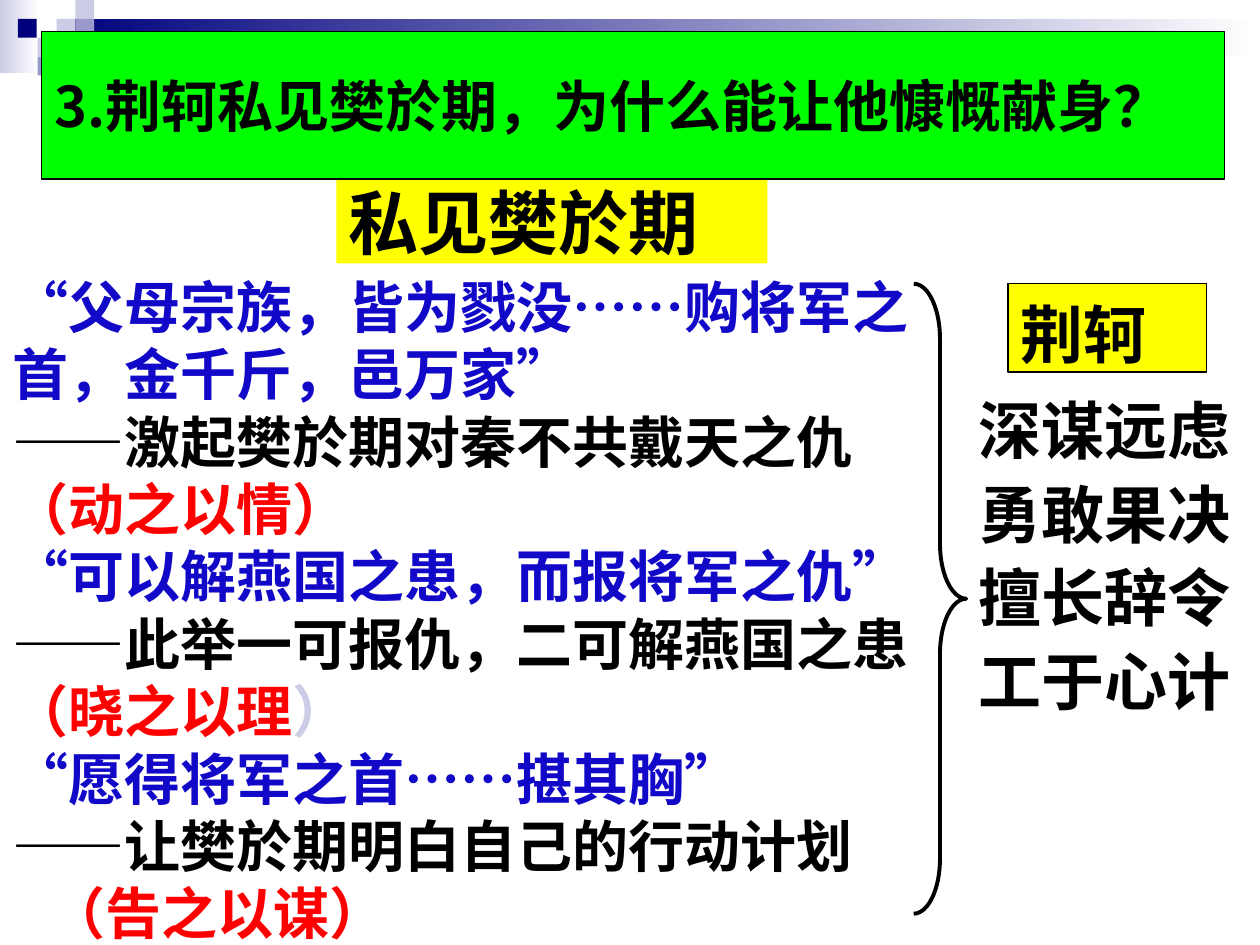
from dataclasses import dataclass

from lxml import etree
from pptx import Presentation
from pptx.dml.color import RGBColor
from pptx.enum.shapes import MSO_SHAPE
from pptx.enum.text import MSO_ANCHOR, PP_ALIGN
from pptx.oxml.ns import qn
from pptx.util import Cm, Pt

RECTANGLE = MSO_SHAPE.RECTANGLE
RIGHT_BRACE = MSO_SHAPE.RIGHT_BRACE
TOP = MSO_ANCHOR.TOP
MIDDLE = MSO_ANCHOR.MIDDLE
LEFT = PP_ALIGN.LEFT


@dataclass(frozen=True)
class Theme:
    black: str = "000000"
    white: str = "FFFFFF"
    navy: str = "00007D"
    lavender: str = "CCCCE6"
    periwinkle: str = "9999CC"
    yellow: str = "FFFF00"
    green: str = "00FF00"
    blue: str = "1108C8"
    red: str = "FF0000"
    chinese_font: str = "Noto Sans CJK SC"
    latin_font: str = "Arial"
    heading_size: int = 40
    trait_size: int = 36
    body_size: int = 32


THEME = Theme()


def add_text(paragraph, text, size, color=THEME.black, font=THEME.chinese_font):
    run = paragraph.add_run()
    run.text = text
    run.font.size = Pt(size)
    run.font.bold = True
    run.font.name = font
    run.font.color.rgb = RGBColor.from_string(color)
    east_asian = etree.SubElement(run.font._element, qn("a:ea"))
    east_asian.set("typeface", THEME.chinese_font)


class SlideBuilder:
    def __init__(self, slide, theme):
        self.slide = slide
        self.theme = theme

    def shape(self, kind, box, fill=None, line=None, line_width=0.75):
        shape = self.slide.shapes.add_shape(kind, *map(Cm, box))
        shape.shadow.inherit = False
        if fill:
            shape.fill.solid()
            shape.fill.fore_color.rgb = RGBColor.from_string(fill)
        else:
            shape.fill.background()
        if line:
            shape.line.color.rgb = RGBColor.from_string(line)
            shape.line.width = Pt(line_width)
        else:
            shape.line.fill.background()
        return shape

    def gradient(self, box, start):
        shape = self.shape(RECTANGLE, box)
        shape.fill.gradient()
        shape.fill.gradient_angle = 0
        for stop, color in zip(shape.fill.gradient_stops, (start, self.theme.white)):
            stop.color.rgb = RGBColor.from_string(color)

    def brace(self, box):
        brace = self.shape(RIGHT_BRACE, box, line=self.theme.black, line_width=2.25)
        brace.adjustments[0] = 1.05
        brace.adjustments[1] = 0.5

    def text_box(self, box):
        return self.slide.shapes.add_textbox(*map(Cm, box))

    def fill_text(self, shape, paragraphs, size, font=THEME.chinese_font, anchor=TOP,
                  top=0.13, line_height=None, gap=0, indents=()):
        frame = shape.text_frame
        frame.word_wrap = True
        frame.vertical_anchor = anchor
        frame.margin_left = frame.margin_right = Cm(0.25)
        frame.margin_top = Cm(top)
        frame.margin_bottom = Cm(0.13)
        for index, runs in enumerate(paragraphs):
            paragraph = frame.add_paragraph() if index else frame.paragraphs[0]
            paragraph.alignment = LEFT
            if index and gap:
                paragraph.space_before = Pt(gap)
            if line_height:
                paragraph.line_spacing = Pt(line_height)
            if index in indents:
                paragraph._p.get_or_add_pPr().set("marL", str(Cm(0.75)))
            for text, color in runs:
                add_text(paragraph, text, size, color=color, font=font)


def add_corner_ornament(builder):
    theme = builder.theme
    builder.gradient((0, 0, 0.79, 1.47), theme.lavender)
    builder.gradient((1.14, 0.38, 24.26, 0.76), theme.navy)
    tiles = (
        (1.14, 0.38, theme.lavender),
        (1.52, 0, theme.lavender),
        (1.52, 0.38, theme.periwinkle),
        (0.76, 0.76, theme.lavender),
        (0.36, 0.38, theme.navy),
        (0.76, 1.14, theme.periwinkle),
    )
    for left, top, color in tiles:
        builder.shape(RECTANGLE, (left, top, 0.38, 0.38), fill=color)


def main():
    theme = THEME
    presentation = Presentation()
    presentation.slide_width = Cm(25.4)
    presentation.slide_height = Cm(19.05)
    slide = presentation.slides.add_slide(presentation.slide_layouts[6])
    builder = SlideBuilder(slide, theme)
    add_corner_ornament(builder)

    heading = builder.shape(RECTANGLE, (6.78, 3.61, 8.69, 1.7), fill=theme.yellow)
    builder.fill_text(heading, [[("私见樊於期", theme.black)]], theme.heading_size, anchor=MIDDLE)

    builder.brace((18.42, 5.72, 1.06, 12.7))

    arguments = [
        [("“父母宗族，皆为戮没……购将军之首，金千斤，邑万家”", theme.blue)],
        [("——激起樊於期对秦不共戴天之仇", theme.black)],
        [("（动之以情）", theme.red)],
        [("“可以解燕国之患，而报将军之仇”", theme.blue)],
        [("——此举一可报仇，二可解燕国之患", theme.black)],
        [("（晓之以理", theme.red), ("）", theme.lavender)],
        [("“愿得将军之首……揕其胸”", theme.blue)],
        [("——让樊於期明白自己的行动计划", theme.black)],
        [("（告之以谋）", theme.red)],
    ]
    builder.fill_text(builder.text_box((0, 5.26, 19.05, 13.82)), arguments, theme.body_size,
                      top=0.23, line_height=38.5, indents=(len(arguments) - 1,))

    traits = [[(trait, theme.black)] for trait in ("深谋远虑", "勇敢果决", "擅长辞令", "工于心计")]
    builder.fill_text(builder.text_box((19.48, 7.82, 5.92, 8.23)), traits, theme.trait_size,
                      font=theme.latin_font, top=0.24, line_height=38.7, gap=9)

    name = builder.shape(RECTANGLE, (20.32, 5.72, 4.01, 1.78), fill=theme.yellow, line=theme.black)
    builder.fill_text(name, [[("荆轲", theme.black)]], theme.trait_size,
                      font=theme.latin_font, top=0.25, line_height=43)

    question = builder.shape(RECTANGLE, (0.84, 0.64, 23.85, 2.97), fill=theme.green, line=theme.black)
    builder.fill_text(question, [[("3.荆轲私见樊於期，为什么能让他慷慨献身？", theme.black)]],
                      theme.body_size, anchor=MIDDLE)

    presentation.save("out.pptx")


if __name__ == "__main__":
    main()
